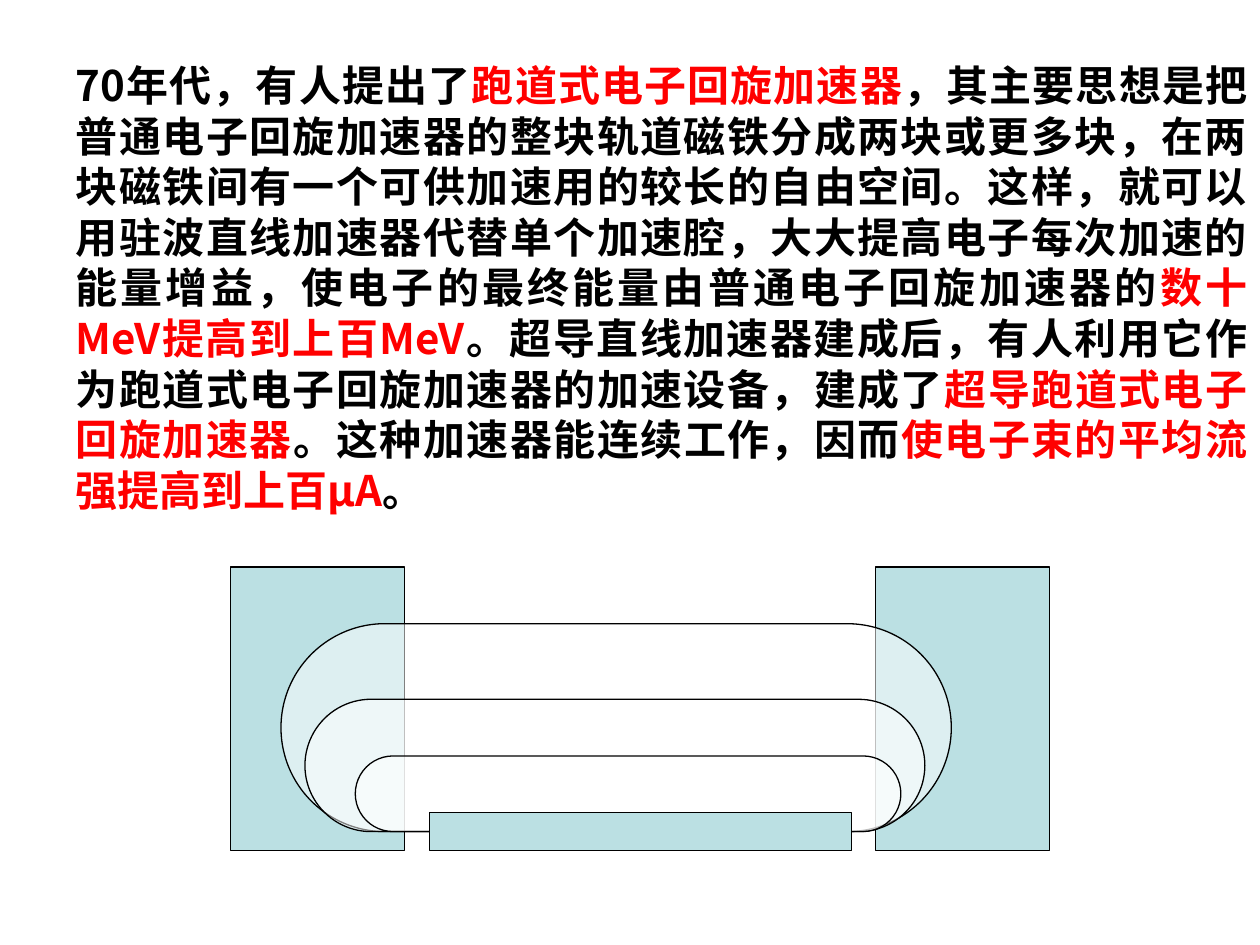
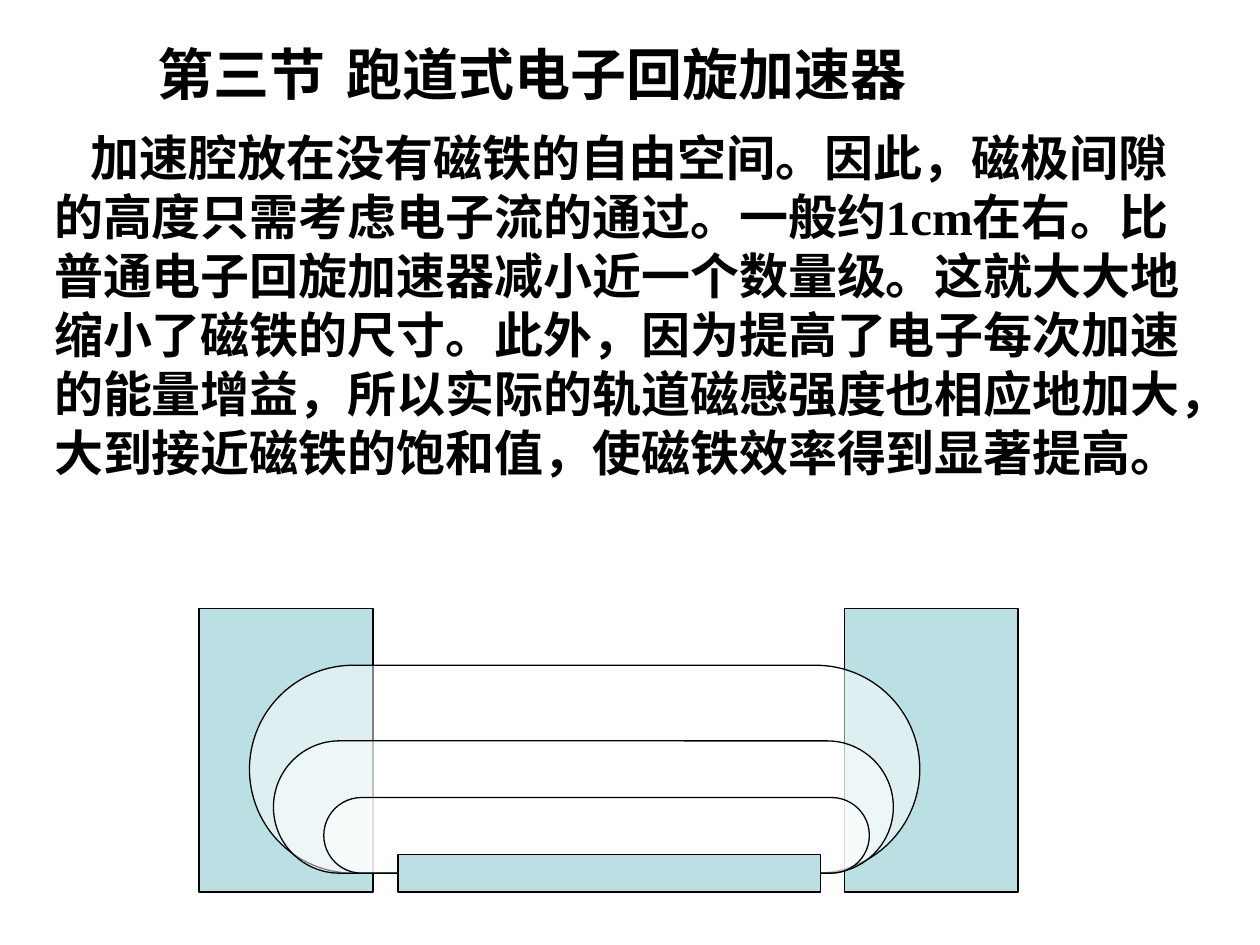
import pptx
import pptx.util
import pptx.oxml.ns
from pptx.dml.color import RGBColor
from pptx.enum.shapes import MSO_SHAPE
from pptx.enum.text import MSO_ANCHOR, MSO_AUTO_SIZE, PP_ALIGN
from lxml import etree

Inches, Pt = pptx.util.Inches, pptx.util.Pt

SANS, SERIF, HEAD = "Noto Sans CJK SC", "Times New Roman", "Arial"
BLACK, RED, TEAL, WHITE = "000000", "FF0000", "BBE0E3", "FFFFFF"

# Runs: text, Latin font, colour
HISTORY = [
    ("70", SANS, BLACK),
    ("年代，有人提出了", SERIF, BLACK),
    ("跑道式电子回旋加速器", SERIF, RED),
    ("，其主要思想是把普通电子回旋加速器的整块轨道磁铁分成两块或更多块，"
     "在两块磁铁间有一个可供加速用的较长的自由空间。这样，就可以用驻波直线"
     "加速器代替单个加速腔，大大提高电子每次加速的能量增益，使电子的最终能量"
     "由普通电子回旋加速器的", SERIF, BLACK),
    ("数十", SERIF, RED),
    ("MeV", SANS, RED),
    ("提高到上百", SERIF, RED),
    ("MeV", SANS, RED),
    ("。超导直线加速器建成后，有人利用它作为跑道式电子回旋加速器的加速设备，"
     "建成了", SERIF, BLACK),
    ("超导跑道式电子回旋加速器", SERIF, RED),
    ("。这种加速器能连续工作，因而", SERIF, BLACK),
    ("使电子束的平均流强提高到上百", SERIF, RED),
    ("µA", SANS, RED),
    ("。", SANS, BLACK),
]
TITLE = [("第三节\t跑道式电子回旋加速器", HEAD, BLACK)]
MAGNET = [
    ("加速腔放在没有磁铁的自由空间。因此，磁极间隙的高度只需考虑电子流的通过。"
     "一般约", SANS, BLACK),
    ("1cm", SERIF, BLACK),
    ("在右。比普通电子回旋加速器减小近一个数量级。这就大大地缩小了磁铁的尺寸。"
     "此外，因为提高了电子每次加速的能量增益，所以实际的轨道磁感强度也相应地"
     "加大，大到接近磁铁的饱和值，使磁铁效率得到显著提高。", SANS, BLACK),
]

# Racetrack parts, relative to the corner of the left magnet
MAGNET_X, MAGNET_SIZE = (0, 5.12), (1.38, 2.25)
ORBITS = [(0.4, 5.32, 1.65), (0.59, 4.92, 1.05), (0.99, 4.33, 0.6)]  # x, w, h
ORBIT_END = 2.1
LINAC = (1.58, 1.95, 3.35, 0.3)


def tint(color, value):
    color.rgb = RGBColor.from_string(value)


def assign(thing, values):
    for name, value in values.items():
        setattr(thing, name, value)


def place(shape, box):
    names = ("left", "top", "width", "height")
    assign(shape, dict(zip(names, map(Inches, box))))


def add_tag(parent, tag, **attrs):
    return etree.SubElement(parent, pptx.oxml.ns.qn(tag), attrs)


def write(holder, box, runs, size, inset=0.05, indent=0, tab=None, **look):
    """Fill a placeholder with one unbulleted paragraph of bold runs."""
    place(holder, box)
    frame = holder.text_frame
    assign(frame, {
        "word_wrap": True, "auto_size": MSO_AUTO_SIZE.NONE,
        "vertical_anchor": MSO_ANCHOR.TOP,
        "margin_left": Inches(0.1), "margin_right": Inches(0.1),
        "margin_top": Inches(inset), "margin_bottom": Inches(0.05),
    })
    para = frame.paragraphs[0]
    props = para._p.get_or_add_pPr()
    props.set("marL", "0")
    props.set("indent", str(Inches(indent)))
    add_tag(props, "a:buNone")
    if tab:
        stops = add_tag(props, "a:tabLst")
        add_tag(stops, "a:tab", pos=str(Inches(tab)), algn="l")
    assign(para, {"space_before": Pt(0), "alignment": PP_ALIGN.LEFT, **look})
    for text, face, color in runs:
        run = para.add_run()
        run.text = text
        assign(run.font, {"size": Pt(size), "bold": True, "name": face})
        tint(run.font.color, color)
        add_tag(run._r.get_or_add_rPr(), "a:ea", typeface=SANS)


def add_part(group, kind, box, fill, alpha=None):
    part = group.shapes.add_shape(kind, *map(Inches, box))
    part.shadow.inherit = False
    part.fill.solid()
    tint(part.fill.fore_color, fill)
    tint(part.line.color, BLACK)
    part.line.width = Pt(0.75)
    if kind == MSO_SHAPE.ROUNDED_RECTANGLE:
        part.adjustments[0] = 0.5
    if alpha:
        color = part._element.spPr.find(".//" + pptx.oxml.ns.qn("a:srgbClr"))
        add_tag(color, "a:alpha", val=str(alpha * 1000))


def draw_track(slide, x, y):
    group = slide.shapes.add_group_shape()
    for dx in MAGNET_X:
        add_part(group, MSO_SHAPE.RECTANGLE, (x + dx, y, *MAGNET_SIZE), TEAL)
    for dx, w, h in ORBITS:
        box = (x + dx, y + ORBIT_END - h, w, h)
        add_part(group, MSO_SHAPE.ROUNDED_RECTANGLE, box, WHITE, 50)
    dx, dy, w, h = LINAC
    add_part(group, MSO_SHAPE.RECTANGLE, (x + dx, y + dy, w, h), TEAL)


def main():
    deck = pptx.Presentation()
    deck.slide_width, deck.slide_height = Inches(10), Inches(7.5)
    layout = deck.slide_layouts[1]

    slide = deck.slides.add_slide(layout)
    title, body = slide.placeholders
    title._element.getparent().remove(title._element)
    write(body, (0.5, 0, 9.5, 5.04), HISTORY, 24, inset=0.47,
          alignment=PP_ALIGN.JUSTIFY, line_spacing=Pt(28.9))
    draw_track(slide, 1.83, 4.5)

    slide = deck.slides.add_slide(layout)
    title, body = slide.placeholders
    write(title, (1.15, 0.26, 8.6, 0.7), TITLE, 32, tab=1.73)
    write(body, (0.33, 0.96, 9.42, 3.4), MAGNET, 28, indent=0.29,
          line_spacing=Pt(33.7))
    draw_track(slide, 1.58, 4.83)

    deck.save("out.pptx")


if __name__ == "__main__":
    main()
